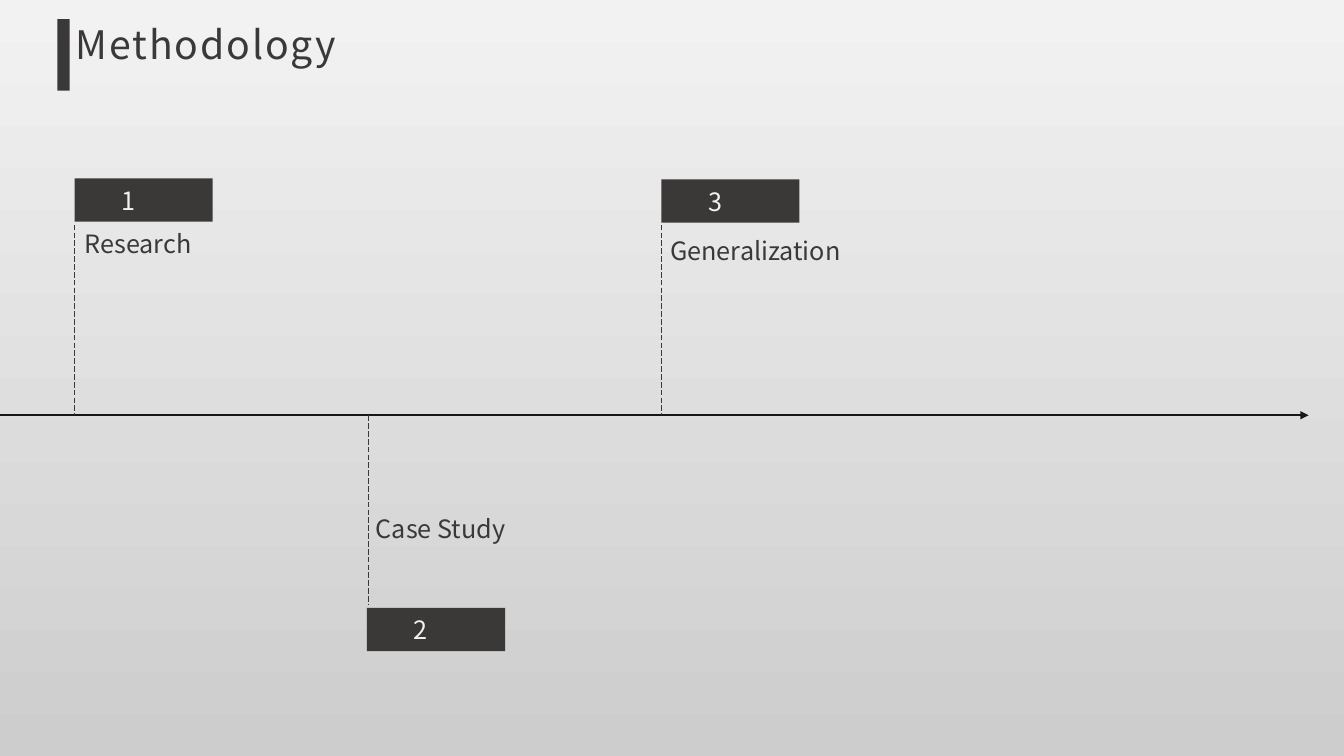
import pptx
import pptx.util
import pptx.dml.color
import pptx.enum.dml
import pptx.enum.shapes
import pptx.enum.text
import pptx.oxml.ns
import pptx.oxml.xmlchemy

# Content: number, name, stem x, tag left, tag top, name left, name top
TITLE = "Methodology"
STEPS = [
    ("1", "Research", 0.74, 0.74, 1.77, 0.74, 2.22),
    ("2", "Case Study", 3.65, 3.64, 6.03, 3.63, 5.04),
    ("3", "Generalization", 6.56, 6.56, 1.78, 6.55, 2.29),
]
COLORS = {"dark": "3B3838", "axis": "181717", "light": "F2F2F2", "base": "CDCDCD"}
FONT = "Noto Sans CJK SC"
AXIS_Y, AXIS_END = 4.12, 12.98
STEM_TOP, STEM_BOTTOM = 2.23, 6
TAG_WIDTH, TAG_HEIGHT = 1.37, 0.43

Inches = pptx.util.Inches
ALIGN = pptx.enum.text.PP_ALIGN


def color(name):
    return pptx.dml.color.RGBColor.from_string(COLORS[name])


def add_line(start, end, color_name, width):
    line = page.shapes.add_connector(
        pptx.enum.shapes.MSO_CONNECTOR.STRAIGHT, *map(Inches, start + end))
    line.line.color.rgb = color(color_name)
    line.line.width = pptx.util.Pt(width)
    line._element.spPr.append(pptx.oxml.xmlchemy.OxmlElement("a:effectLst"))
    return line


def add_bar(left, top, width, height):
    bar = page.shapes.add_shape(
        pptx.enum.shapes.MSO_SHAPE.RECTANGLE, *map(Inches, (left, top, width, height)))
    bar.shadow.inherit = False
    bar.fill.solid()
    bar.fill.fore_color.rgb = color("dark")
    bar.line.fill.background()


def write(box, text, size, color_name, align):
    frame = box.text_frame
    frame.word_wrap = True
    frame.auto_size = pptx.enum.text.MSO_AUTO_SIZE.NONE
    frame.vertical_anchor = pptx.enum.text.MSO_ANCHOR.TOP
    frame.text = text
    para = frame.paragraphs[0]
    para.alignment = align
    span = para.runs[0]
    span.font.name = FONT
    span.font.size = pptx.util.Pt(size)
    span.font.color.rgb = color(color_name)
    return span


def add_text(left, top, width, text, color_name, align):
    box = page.shapes.add_textbox(*map(Inches, (left, top, width, 0.4)))
    write(box, text, 18, color_name, align)


deck = pptx.Presentation()
deck.slide_width, deck.slide_height = Inches(13.33), Inches(7.5)
page = deck.slides.add_slide(deck.slide_layouts[5])

# Background, light at the top
fill = page.background.fill
fill.gradient()
fill.gradient_angle = 270
for stop, name in zip(fill.gradient_stops, ("light", "base")):
    stop.color.rgb = color(name)

# Title with its side bar
title = page.shapes.title
title.left, title.top, title.width, title.height = map(Inches, (0.65, 0.15, 2.85, 0.57))
span = write(title, TITLE, 28, "dark", ALIGN.LEFT)
span._r.get_or_add_rPr().set("spc", "140")
add_bar(0.57, 0.19, 0.12, 0.71)

# Time axis
axis = add_line((0, AXIS_Y), (AXIS_END, AXIS_Y), "axis", 1.5)
arrow = pptx.oxml.xmlchemy.OxmlElement("a:tailEnd")
arrow.set("type", "triangle")
axis._element.spPr.find(pptx.oxml.ns.qn("a:ln")).append(arrow)

# Steps: dashed stem, numbered tag, name
for number, name, stem_x, tag_left, tag_top, name_left, name_top in STEPS:
    above = tag_top < AXIS_Y
    start, end = (STEM_TOP, AXIS_Y) if above else (AXIS_Y, STEM_BOTTOM)
    stem = add_line((stem_x, start), (stem_x, end), "dark", 0.5)
    stem.line.dash_style = pptx.enum.dml.MSO_LINE.LONG_DASH
    add_bar(tag_left, tag_top, TAG_WIDTH, TAG_HEIGHT)
    add_text(tag_left, tag_top + 0.02, 1.07, number, "light", ALIGN.CENTER)
    add_text(name_left, name_top, 1.96, name, "dark", ALIGN.LEFT)

deck.save("out.pptx")
